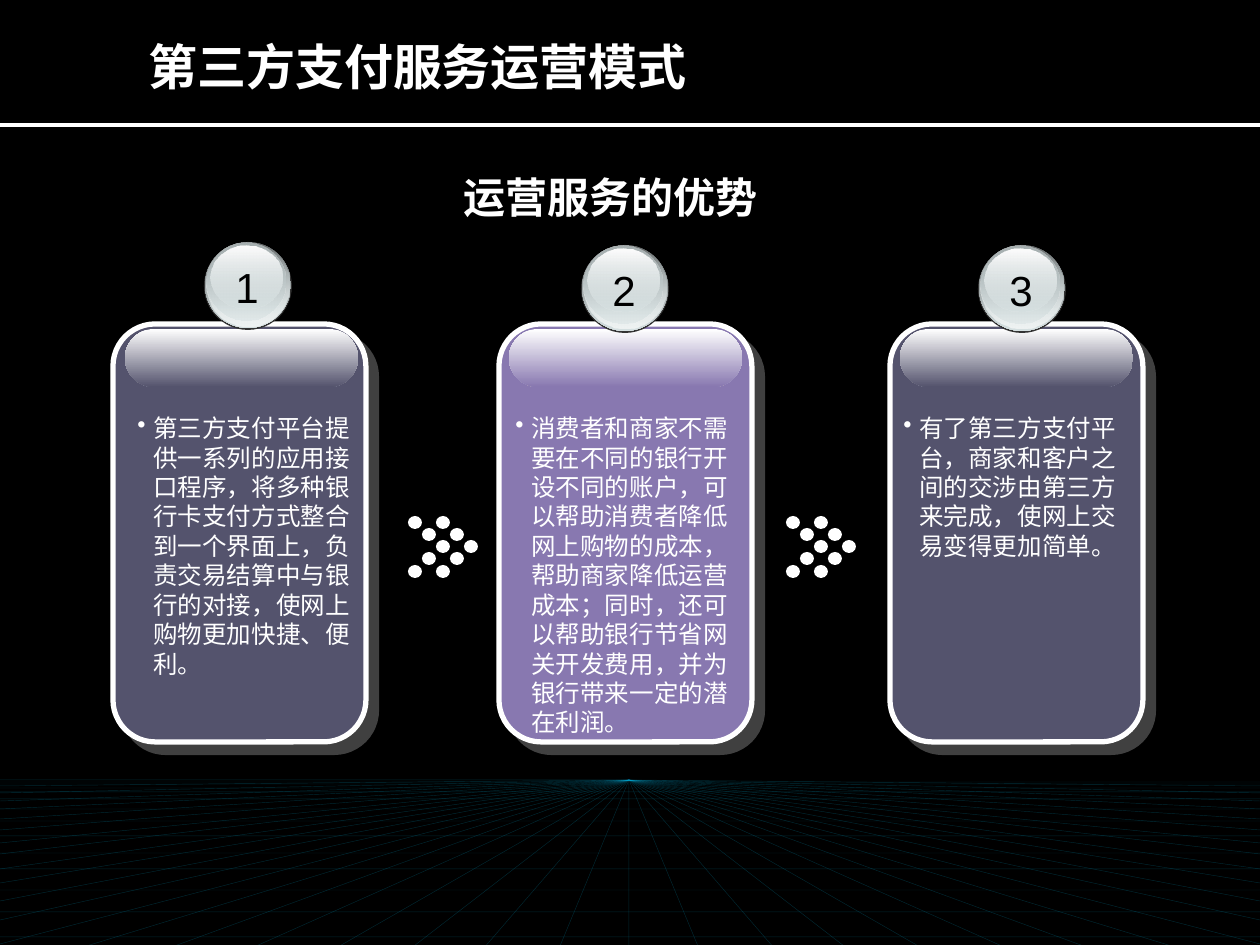
from dataclasses import dataclass
from lxml.etree import SubElement
from pptx import Presentation
from pptx.dml.color import RGBColor as RGB
from pptx.enum.shapes import MSO_CONNECTOR as LINK, MSO_SHAPE as KIND
from pptx.enum.text import MSO_ANCHOR as ANCHOR, MSO_AUTO_SIZE as AUTO, PP_ALIGN as ALIGN
from pptx.oxml.ns import qn
from pptx.util import Pt

SCALE = 914400 / 126


@dataclass(frozen=True)
class Theme:
    back: str = "000000"
    white: str = "FFFFFF"
    slate: str = "54536D"
    violet: str = "8878B0"
    shade: str = "808080"
    grid: str = "00CCFF"
    rim: str = "333333"
    font: str = "Arial"
    head: str = "Noto Sans CJK SC"
    title: int = 28
    large: int = 24
    body: int = 14


T = Theme()

CARDS = [
    (113, 125, 125, 277, T.slate,
     "第三方支付平台提供一系列的应用接口程序，将多种银行卡支付方式整合到一个界面上，负责交易结算中与银行的对接，使网上购物更加快捷、便利。"),
    (499, 509, 503, 382, T.violet,
     "消费者和商家不需要在不同的银行开设不同的账户，可以帮助消费者降低网上购物的成本，帮助商家降低运营成本；同时，还可以帮助银行节省网关开发费用，并为银行带来一定的潜在利润。"),
    (890, 900, 891, 160, T.slate,
     "有了第三方支付平台，商家和客户之间的交涉由第三方来完成，使网上交易变得更加简单。"),
]
BADGES = [("1", 204, 242), ("3", 978, 245), ("2", 581, 245)]
RINGS = [
    (1, 0, 86, 86, ("626768", "D6E1E2"), (100, 100)),
    (2, 1, 83, 83, ("D6E1E2", "EFF3F3"), (0, 100)),
    (2, 1, 79, 78, ("A8B1B2", "D6E1E2"), (100, 48)),
    (7, 4, 71, 63, ("FEFEFE", "D6E1E2"), (100, 38)),
]
SIDES = [786, 793, 801, 809, 819, 830, 843, 854, 869, 883, 901, 920, 944]
FEET = [76, 158, 237, 319, 411, 501, 598]
ROWS = [782, 784, 788, 792, 799, 809, 821, 836, 853, 869, 890, 912, 937]
CHEVRON = [(2, 0), (3, 1), (4, 2), (3, 3), (2, 4)]


def px(*vals):
    return [round(v * SCALE) for v in vals]


def style(item, form):
    for key, val in form.items():
        setattr(item, key, val)


def fade(shape, alphas):
    tints = shape._element.spPr.iter(qn("a:srgbClr"))
    for tint, alpha in zip(list(tints), alphas):
        if alpha < 100:
            SubElement(tint, qn("a:alpha"), val=str(alpha * 1000))


def add_form(slide, kind, box, tint):
    shape = slide.shapes.add_shape(kind, *px(*box))
    shape.shadow.inherit = False
    shape.line.fill.background()
    if isinstance(tint, str):
        shape.fill.solid()
        shape.fill.fore_color.rgb = RGB.from_string(tint)
    else:
        shape.fill.gradient()
        shape.fill.gradient_angle = 270
        for stop, code in zip(shape.fill.gradient_stops, tint):
            stop.color.rgb = RGB.from_string(code)
    return shape


def add_rule(slide, start, end, tint, width, alpha=100):
    rule = slide.shapes.add_connector(LINK.STRAIGHT, *px(*start, *end))
    rule.line.color.rgb = RGB.from_string(tint)
    rule.line.width = Pt(width)
    fade(rule, [alpha])
    SubElement(rule._element.spPr, qn("a:effectLst"))


def add_bullet(para, tint):
    props = para._p.get_or_add_pPr()
    inset = px(16)[0]
    props.set("marL", str(inset))
    props.set("indent", str(-inset))
    SubElement(SubElement(props, qn("a:buClr")), qn("a:srgbClr"), val=tint)
    SubElement(props, qn("a:buChar"), char="•")


def add_words(slide, box, words, size, tint=T.white, face=T.font,
              bold=False, bullet=False, frame=None, align=ALIGN.LEFT):
    text = slide.shapes.add_textbox(*px(*box)).text_frame
    style(text, {"word_wrap": True, "auto_size": AUTO.SHAPE_TO_FIT_TEXT, **(frame or {})})
    para = text.paragraphs[0]
    para.alignment = align
    if bullet:
        add_bullet(para, tint)
    run = para.add_run()
    run.text = words
    style(run.font, {"name": face, "size": Pt(size), "bold": bold})
    run.font.color.rgb = RGB.from_string(tint)
    SubElement(run._r.get_or_add_rPr(), qn("a:ea"), typeface=face)


def add_card(slide, left, gloss, tint):
    card = add_form(slide, KIND.ROUNDED_RECTANGLE, (left, 324, 253, 418), tint)
    card.line.color.rgb = RGB.from_string(T.white)
    card.line.width = Pt(3)
    cast = SubElement(card._element.spPr.find(qn("a:effectLst")), qn("a:outerShdw"),
                      blurRad="0", dist=str(Pt(8.5)), dir="2700000",
                      algn="ctr", rotWithShape="0")
    shade = SubElement(cast, qn("a:srgbClr"), val=T.shade)
    SubElement(shade, qn("a:alpha"), val="50000")
    shine = add_form(slide, KIND.ROUNDED_RECTANGLE, (gloss, 329, 233, 58), (T.white, tint))
    shine.adjustments[0] = 0.5


def add_chevron(slide, left, top):
    for shift in (0, -2):
        for col, row in CHEVRON:
            spot = (left + 14 * (col + shift), top + row * 49 // 4, 14, 13)
            add_form(slide, KIND.OVAL, spot, T.white)


def add_grid(slide):
    hub = (629, 780)
    ends = [(x, y) for x in (0, 1260) for y in SIDES]
    ends += [(629 + side * foot, 963) for side in (-1, 1) for foot in FEET]
    ends += [(629, 963), (0, 780)]
    pairs = [(hub, end) for end in ends]
    pairs += [((0, y), (1260, y)) for y in ROWS]
    for start, end in pairs:
        add_rule(slide, start, end, T.grid, 0.25, 20)


def add_badge(slide, label, left, top):
    add_form(slide, KIND.OVAL, (left, top, 88, 88), T.rim)
    for dx, dy, wide, high, tints, alphas in RINGS:
        ring = add_form(slide, KIND.OVAL, (left + dx, top + dy, wide, high), tints)
        fade(ring, alphas)
    add_words(slide, (left + 19, top + 13, 48, 63), label, T.large, T.back,
              frame={"word_wrap": False}, align=ALIGN.CENTER)


def main():
    deck = Presentation()
    deck.slide_width, deck.slide_height = px(1260, 945)
    slide = deck.slides.add_slide(deck.slide_layouts[6])
    slide.background.fill.solid()
    slide.background.fill.fore_color.rgb = RGB.from_string(T.back)
    add_rule(slide, (0, 125), (1260, 125), T.white, 2.25)
    for left, gloss, _, _, tint, _ in CARDS:
        add_card(slide, left, gloss, tint)
    for _, _, left, high, _, words in CARDS:
        add_words(slide, (left, 407, 242, high), words, T.body, bullet=True)
    for left in (408, 786):
        add_chevron(slide, left, 516)
    add_words(slide, (451, 165, 348, 63), "运营服务的优势", T.large, bold=True)
    add_words(slide, (136, 32, 977, 67), "第三方支付服务运营模式", T.title, face=T.head, bold=True,
              frame={"auto_size": AUTO.NONE, "vertical_anchor": ANCHOR.MIDDLE})
    add_grid(slide)
    for badge in BADGES:
        add_badge(slide, *badge)
    deck.save("out.pptx")


if __name__ == "__main__":
    main()
